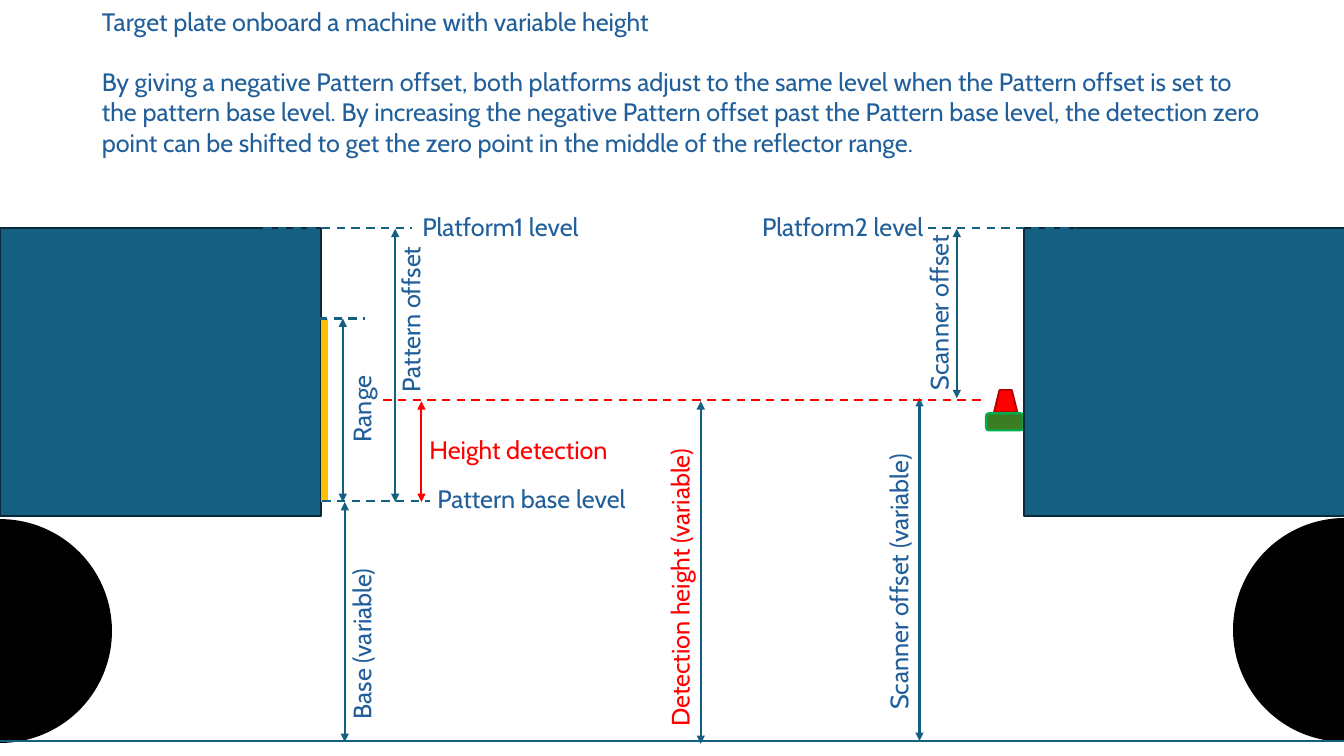
"""Build the slide on platform levels for a target plate on a machine of variable height."""
from lxml import etree
from pptx import Presentation
from pptx import util as u
from pptx.dml.color import RGBColor
from pptx.enum import dml, shapes, text
from pptx.oxml import ns

PX = 9144
TEAL, BLUE, RED = "156082", "215F9A", "FF0000"


def color(target, value):
    """Give a fill or a line's fill one solid colour."""
    target.solid()
    target.fore_color.rgb = RGBColor.from_string(value)


def write(paragraph, words, ink=BLUE, size=18, font="Cabin"):
    """Put one formatted run in a left-aligned paragraph."""
    paragraph.alignment = text.PP_ALIGN.LEFT
    paragraph.line_spacing = 1.0
    run = paragraph.add_run()
    run.text = words
    run.font.name = font
    run.font.size = u.Pt(size)
    run.font.bold = False
    color(run.font.fill, ink)


presentation = Presentation()
presentation.slide_width = 1333 * PX
presentation.slide_height = 750 * PX
slide = presentation.slides.add_slide(presentation.slide_layouts[5])

title = slide.shapes.title
title.left, title.top, title.width, title.height = (n * PX for n in (91, 1, 1176, 162))
frame = title.text_frame
frame.word_wrap = True
frame.auto_size = text.MSO_AUTO_SIZE.NONE
frame.vertical_anchor = text.MSO_ANCHOR.TOP
write(frame.paragraphs[0], "Target plate onboard a machine with variable height")
description = frame.add_paragraph()
description.space_before = u.Pt(21.5)
write(description, "By giving a negative Pattern offset, both platforms adjust to the same level "
      "when the Pattern offset is set to the pattern base level. By increasing the negative "
      "Pattern offset past the Pattern base level, the detection zero point can be shifted "
      "to get the zero point in the middle of the reflector range.")

scanner = slide.shapes.add_group_shape()
kinds = shapes.MSO_SHAPE
bodies = [
    (slide, kinds.RECTANGLE, (0, 226, 318, 286), 0, TEAL, "092A39"),
    (slide, kinds.RECTANGLE, (1016, 226, 318, 286), 0, TEAL, "092A39"),
    (slide, kinds.CHORD, (1224, 515, 220, 220), 0, "000000", "000000"),
    (slide, kinds.CHORD, (-110, 516, 220, 220), 180, "000000", "000000"),
    (scanner, kinds.TRAPEZOID, (986, 387, 23, 22), 0, RED, "C00000"),
    (scanner, kinds.ROUNDED_RECTANGLE, (978, 410, 37, 17), 0, "3B7D23", "00B050"),
]
for parent, kind, box, rotation, fill, outline in bodies:
    shape = parent.shapes.add_shape(kind, *(n * PX for n in box))
    shape.rotation = rotation
    shape.shadow.inherit = False
    color(shape.fill, fill)
    color(shape.line.fill, outline)
    shape.line.width = u.Pt(1.5)
    if kind == kinds.CHORD:
        shape.adjustments[0] = 53.8
        shape.adjustments[1] = 162

lines = [
    ("plate", 322, 316, 322, 498, "FFC000"),
    ("arrow", 340, 316, 340, 498, TEAL),
    ("arrow", 342, 498, 342, 736, TEAL),
    ("dash", 305, 497, 427, 497, TEAL),
    ("arrow", 912, 395, 912, 735, TEAL),
    ("dash", 261, 226, 409, 226, TEAL),
    ("dash", 920, 226, 1067, 226, TEAL),
    ("dash", 380, 397, 978, 397, RED),
    ("arrow", 392, 227, 392, 498, TEAL),
    ("arrow", 949, 227, 949, 395, TEAL),
    ("arrow", 695, 398, 695, 738, TEAL),
    ("arrow", 418, 398, 418, 498, RED),
    ("dash", 214, 316, 362, 316, TEAL),
    ("ground", 0, 735, 1334, 735, TEAL),
]
for style, *ends, ink in lines:
    connector = slide.shapes.add_connector(shapes.MSO_CONNECTOR.STRAIGHT, *(n * PX for n in ends))
    color(connector.line.fill, ink)
    connector.line.width = u.Pt(4.5 if style == "plate" else 1.5)
    if style == "dash":
        connector.line.dash_style = dml.MSO_LINE.DASH
    if style == "arrow":
        for end in ("a:headEnd", "a:tailEnd"):
            etree.SubElement(connector.line._get_or_add_ln(), ns.qn(end), type="triangle")
    etree.SubElement(connector._element.spPr, ns.qn("a:effectLst"))

labels = [
    ("Range", 312, 382, 93, 270, BLUE),
    ("Base (variable)", 268, 613, 181, 270, BLUE),
    ("Scanner offset (variable)", 746, 549, 290, 270, BLUE),
    ("Pattern base level", 424, 475, 213, 0, BLUE),
    ("Platform1 level", 409, 205, 183, 0, BLUE),
    ("Platform2 level", 746, 205, 183, 0, BLUE),
    ("Pattern offset", 321, 293, 172, 270, BLUE),
    ("Scanner offset", 837, 283, 188, 270, BLUE),
    ("Detection height (variable)", 518, 555, 312, 270, RED),
    ("Height detection", 416, 426, 201, 0, RED),
]
for words, left, top, width, rotation, ink in labels:
    label = slide.shapes.add_textbox(left * PX, top * PX, width * PX, 40 * PX)
    label.rotation = rotation
    label.text_frame.word_wrap = False
    label.text_frame.auto_size = text.MSO_AUTO_SIZE.SHAPE_TO_FIT_TEXT
    write(label.text_frame.paragraphs[0], words, ink=ink)

presentation.save("out.pptx")
